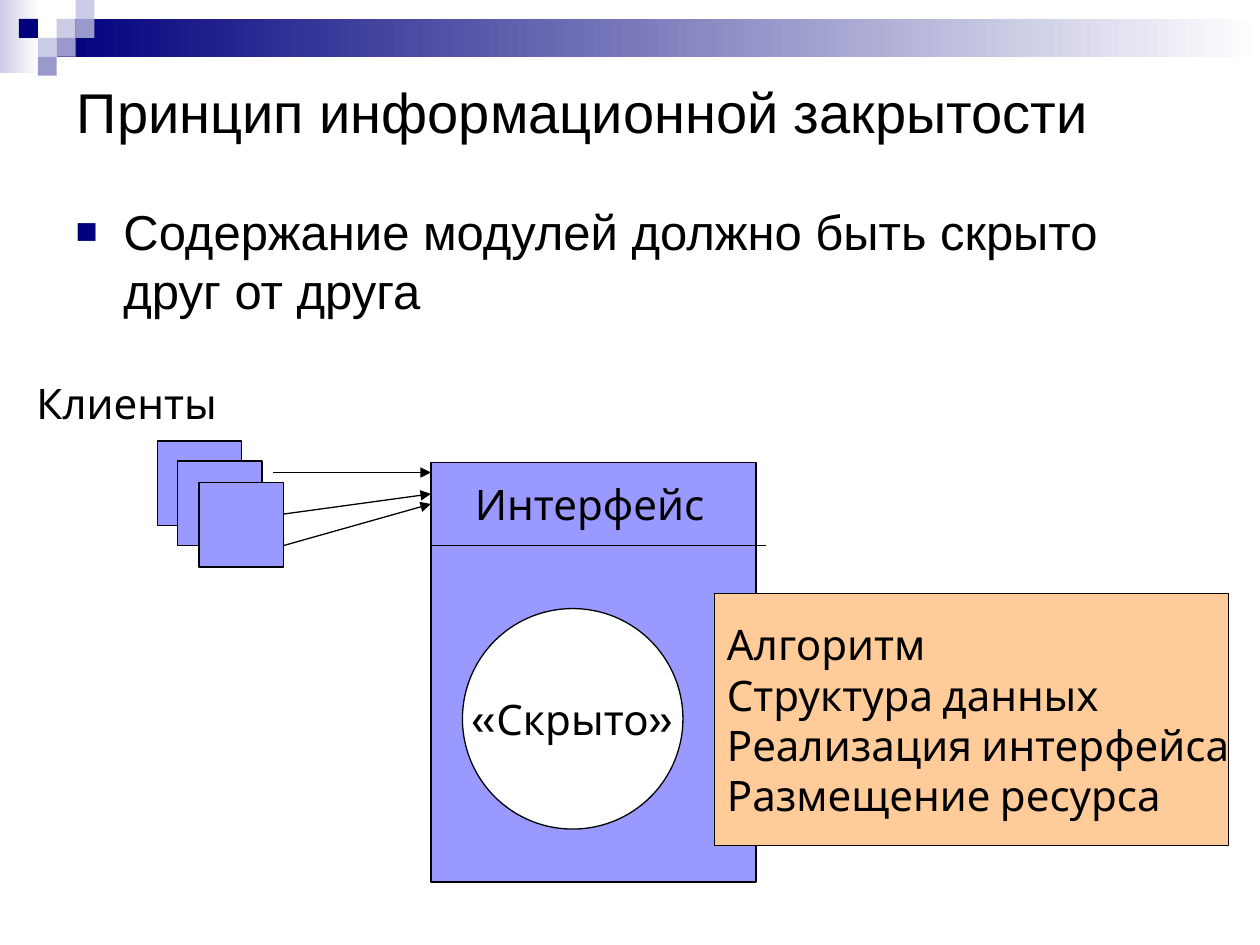
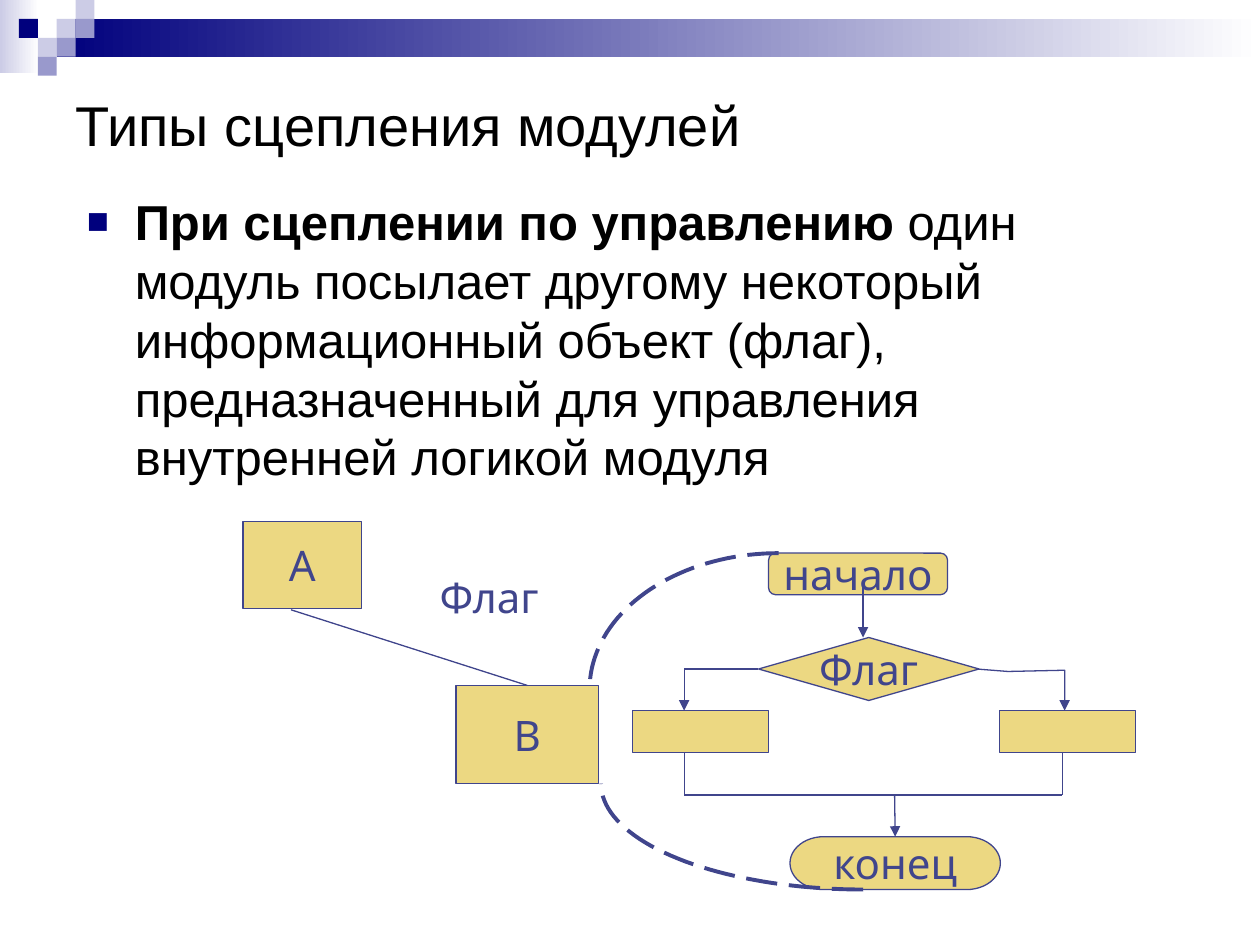
"""Builds two slides on information hiding and module coupling."""
from dataclasses import dataclass
from math import cos, pi, sin

from lxml.etree import SubElement
from pptx import Presentation
from pptx.dml.color import RGBColor
from pptx.enum.dml import MSO_LINE
from pptx.enum.shapes import MSO_CONNECTOR, MSO_SHAPE
from pptx.enum.text import MSO_ANCHOR, MSO_AUTO_SIZE, PP_ALIGN
from pptx.oxml.ns import qn
from pptx.util import Pt

PX = 9144
BLACK, WHITE, NAVY = "000000", "FFFFFF", "00007D"
PALE, MIDDLE = "CCCCE6", "9999CC"
LILAC, PEACH = "9999FF", "FFCC99"
SAND, INDIGO = "ECD882", "40458C"
HEADING_FONT, LABEL_FONT = "Arial", "Cabin"
SQUARE = 15
BAND_SQUARES = [(3, 1, PALE), (4, 0, PALE), (4, 1, MIDDLE), (2, 2, PALE),
                (1, 1, NAVY), (3, 2, MIDDLE), (2, 3, MIDDLE)]


@dataclass
class Box:
    left: int
    top: int
    width: int
    height: int
    fill: str
    line: str | None = None
    text: str = ""
    kind: MSO_SHAPE = MSO_SHAPE.RECTANGLE
    align: PP_ALIGN = PP_ALIGN.CENTER


@dataclass
class Link:
    start: tuple[int, int]
    end: tuple[int, int]
    arrow: bool = False


def color(value: str) -> RGBColor:
    return RGBColor.from_string(value)


def place(shape, left: int, top: int, width: int, height: int) -> None:
    shape.left, shape.top = left * PX, top * PX
    shape.width, shape.height = width * PX, height * PX


def style_font(paragraph, name: str, size: int, ink: str) -> None:
    font = paragraph.font
    font.name, font.size = name, Pt(size)
    font.color.rgb = color(ink)


def style_line(shape, ink: str, width: float = 0.75) -> None:
    shape.line.color.rgb = color(ink)
    shape.line.width = Pt(width)


def add_arrowhead(shape) -> None:
    SubElement(shape.line._get_or_add_ln(), qn("a:tailEnd"), type="triangle")


def write_lines(frame, text: str, ink: str, align: PP_ALIGN) -> None:
    frame.text = text
    for paragraph in frame.paragraphs:
        paragraph.alignment = align
        style_font(paragraph, LABEL_FONT, 24, ink)


def draw_box(slide, box: Box):
    shape = slide.shapes.add_shape(box.kind, box.left * PX, box.top * PX,
                                   box.width * PX, box.height * PX)
    shape.shadow.inherit = False
    shape.fill.solid()
    shape.fill.fore_color.rgb = color(box.fill)
    if box.line:
        style_line(shape, box.line)
    else:
        shape.line.fill.background()
    if box.text:
        frame = shape.text_frame
        frame.word_wrap = False
        frame.vertical_anchor = MSO_ANCHOR.MIDDLE
        write_lines(frame, box.text, box.line or BLACK, box.align)
    return shape


def draw_fade(slide, box: Box) -> None:
    fill = draw_box(slide, box).fill
    fill.gradient()
    fill.gradient_angle = 0
    for stop, shade in zip(fill.gradient_stops, (box.fill, WHITE)):
        stop.color.rgb = color(shade)


def draw_label(slide, text: str, left: int, top: int, width: int, ink: str) -> None:
    label = slide.shapes.add_textbox(left * PX, top * PX, width * PX, 50 * PX)
    label.text_frame.word_wrap = True
    write_lines(label.text_frame, text, ink, PP_ALIGN.LEFT)


def draw_link(slide, link: Link, ink: str):
    ends = [length * PX for length in (*link.start, *link.end)]
    connector = slide.shapes.add_connector(MSO_CONNECTOR.STRAIGHT, *ends)
    style_line(connector, ink)
    if link.arrow:
        add_arrowhead(connector)
    SubElement(connector.element.spPr, qn("a:effectLst"))
    return connector


def draw_path(slide, points: list[tuple[float, float]], ink: str, width: float = 0.75):
    start, *others = [(round(x * PX), round(y * PX)) for x, y in points]
    builder = slide.shapes.build_freeform(*start)
    builder.add_line_segments(others, close=False)
    shape = builder.convert_to_shape()
    shape.shadow.inherit = False
    shape.fill.background()
    style_line(shape, ink, width)
    return shape


def draw_quarter(slide, center_x: int, center_y: int, radius_x: int, radius_y: int) -> None:
    """Draws a dashed quarter ellipse from the centre line to the left."""
    steps = 40
    angles = [pi / 2 * step / steps for step in range(steps + 1)]
    points = [(center_x - radius_x * sin(angle), center_y + radius_y * cos(angle))
              for angle in angles]
    draw_path(slide, points, INDIGO, 2.25).line.dash_style = MSO_LINE.LONG_DASH


def add_slide(presentation, title: str, title_area: tuple[int, int, int, int],
              runs: list[tuple[str, bool]], body_area: tuple[int, int, int, int]):
    slide = presentation.slides.add_slide(presentation.slide_layouts[1])
    draw_fade(slide, Box(0, 0, 31, 58, PALE))
    draw_fade(slide, Box(45, 15, 955, 30, NAVY))
    for column, row, shade in BAND_SQUARES:
        draw_box(slide, Box(column * SQUARE, row * SQUARE, SQUARE, SQUARE, shade))

    heading, body = slide.shapes.title, slide.placeholders[1]
    place(heading, *title_area)
    place(body, *body_area)
    heading.text_frame.text = title
    heading.text_frame.vertical_anchor = MSO_ANCHOR.MIDDLE
    paragraph = heading.text_frame.paragraphs[0]
    paragraph.alignment = PP_ALIGN.LEFT
    style_font(paragraph, HEADING_FONT, 32, BLACK)

    paragraph = body.text_frame.paragraphs[0]
    for text, bold in runs:
        run = paragraph.add_run()
        run.text, run.font.bold = text, bold
    add_bullet(paragraph)
    style_font(paragraph, HEADING_FONT, 28, BLACK)
    for shape in (heading, body):
        shape.text_frame.auto_size = MSO_AUTO_SIZE.NONE
    return slide


def add_bullet(paragraph) -> None:
    properties = paragraph._p.get_or_add_pPr()
    properties.set("marL", str(38 * PX))
    properties.set("indent", str(-38 * PX))
    SubElement(SubElement(properties, qn("a:buClr")), qn("a:srgbClr"), val=NAVY)
    SubElement(properties, qn("a:buSzPct"), val="75000")
    SubElement(properties, qn("a:buFont"), typeface=HEADING_FONT)
    SubElement(properties, qn("a:buChar"), char="■")


def build_hiding_slide(presentation) -> None:
    slide = add_slide(presentation, "Принцип информационной закрытости", (51, 44, 850, 89),
                      [("Содержание модулей должно быть скрыто друг от друга", False)],
                      (50, 155, 900, 479))
    for index in range(3):
        offset = index * 50 // 3
        draw_box(slide, Box(125 + offset, 350 + offset, 67, 67, LILAC, BLACK))
    draw_label(slide, "Клиенты", 19, 295, 173, BLACK)
    draw_box(slide, Box(342, 367, 258, 333, LILAC, BLACK))
    draw_link(slide, Link((342, 433), (608, 433)), BLACK)
    draw_label(slide, "Интерфейс", 367, 375, 208, BLACK)
    draw_box(slide, Box(367, 483, 175, 175, WHITE, BLACK, "«Скрыто»", MSO_SHAPE.OVAL))
    hidden = "Алгоритм\nСтруктура данных\nРеализация интерфейса\nРазмещение ресурса"
    draw_box(slide, Box(567, 471, 408, 200, PEACH, BLACK, hidden, align=PP_ALIGN.LEFT))
    for start, end_y in [((225, 433), 400), ((217, 375), 375), ((225, 408), 392)]:
        draw_link(slide, Link(start, (342, end_y), True), BLACK)


def build_coupling_slide(presentation) -> None:
    slide = add_slide(presentation, "Типы сцепления модулей", (50, 50, 900, 97),
                      [("При сцеплении по управлению", True),
                       (" один модуль посылает другому некоторый информационный объект (флаг), "
                        "предназначенный для управления внутренней логикой модуля", False)],
                      (59, 147, 900, 244))
    draw_box(slide, Box(610, 439, 142, 33, SAND, INDIGO, "начало", MSO_SHAPE.ROUNDED_RECTANGLE))
    decision = draw_box(slide, Box(602, 506, 175, 50, SAND, INDIGO, "Флаг",
                                   MSO_SHAPE.FLOWCHART_DECISION))
    for left in (793, 502):
        draw_box(slide, Box(left, 564, 108, 33, SAND, INDIGO, kind=MSO_SHAPE.FLOWCHART_PROCESS))
    finish = draw_box(slide, Box(627, 664, 167, 42, SAND, INDIGO, "конец",
                                 MSO_SHAPE.FLOWCHART_TERMINATOR))
    add_arrowhead(draw_path(slide, [(775, 531), (800, 533), (845, 532), (845, 564)], INDIGO))
    for link in [Link((543, 597), (543, 631)), Link((543, 631), (843, 631)),
                 Link((843, 597), (843, 631)), Link((543, 531), (543, 564), True),
                 Link((685, 464), (685, 506), True)]:
        draw_link(slide, link, INDIGO)
    draw_link(slide, Link((543, 531), (602, 531)), INDIGO).end_connect(decision, 1)
    draw_link(slide, Link((710, 631), (710, 664), True), INDIGO).end_connect(finish, 0)

    draw_box(slide, Box(193, 414, 94, 69, SAND, INDIGO, "А"))
    module_b = draw_box(slide, Box(362, 544, 113, 78, SAND, INDIGO, "В"))
    draw_link(slide, Link((231, 484), (419, 544)), INDIGO).end_connect(module_b, 0)
    draw_label(slide, "Флаг", 339, 449, 188, INDIGO)
    draw_quarter(slide, 618, 547, 150, -108)
    draw_quarter(slide, 685, 622, 208, 84)


def main() -> None:
    presentation = Presentation()
    presentation.slide_width, presentation.slide_height = 1000 * PX, 750 * PX
    build_hiding_slide(presentation)
    build_coupling_slide(presentation)
    presentation.save("out.pptx")


if __name__ == "__main__":
    main()
